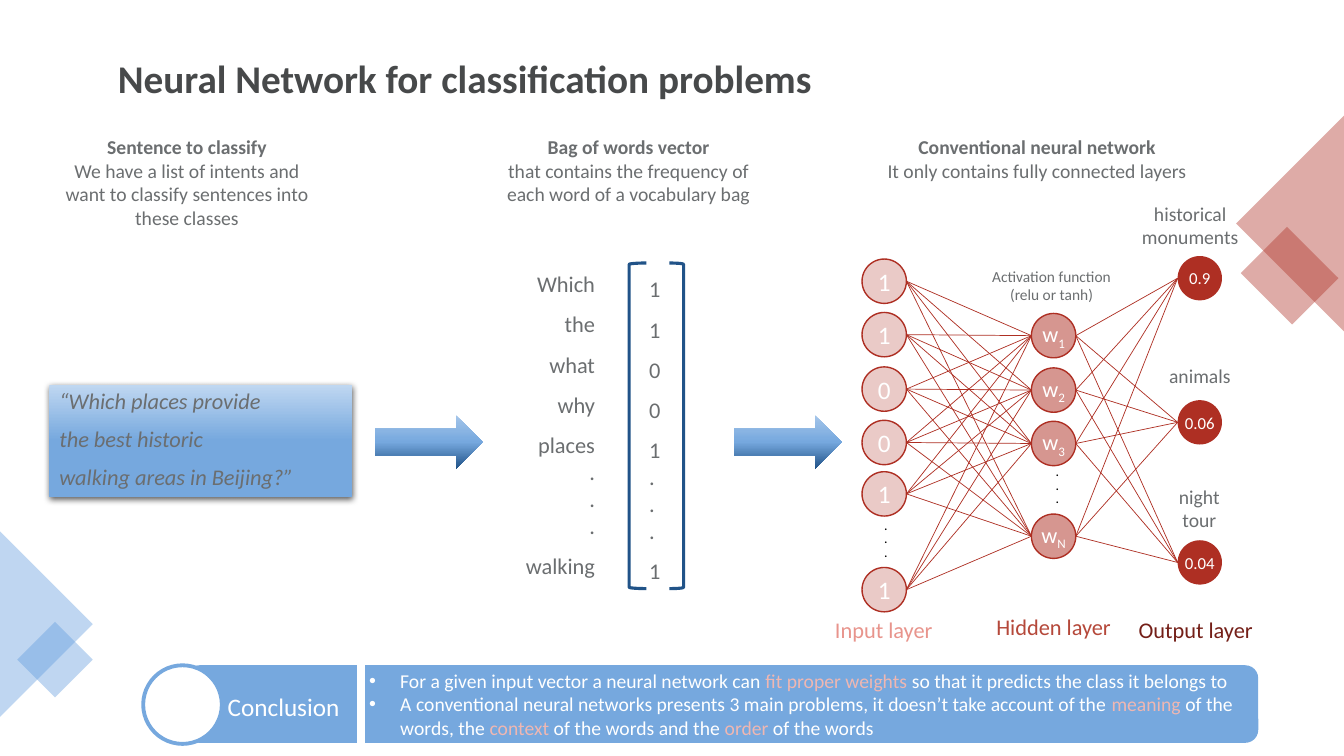
"""Builds a slide explaining how a neural network classifies sentences."""
from itertools import product

from lxml import etree
from pptx import Presentation
from pptx.dml.color import RGBColor
from pptx.enum.shapes import MSO_CONNECTOR, MSO_SHAPE
from pptx.enum.text import MSO_ANCHOR, MSO_AUTO_SIZE, PP_ALIGN
from pptx.oxml.ns import qn
from pptx.util import Inches, Pt

LEFT, CENTER, RIGHT = PP_ALIGN.LEFT, PP_ALIGN.CENTER, PP_ALIGN.RIGHT
TOP, MIDDLE = MSO_ANCHOR.TOP, MSO_ANCHOR.MIDDLE
NO_FIT = MSO_AUTO_SIZE.NONE
STRAIGHT = MSO_CONNECTOR.STRAIGHT
RECT, ROUND_RECT, OVAL = MSO_SHAPE.RECTANGLE, MSO_SHAPE.ROUNDED_RECTANGLE, MSO_SHAPE.OVAL
ARROW, NODE = MSO_SHAPE.RIGHT_ARROW, MSO_SHAPE.FLOWCHART_CONNECTOR
BRACKETS = MSO_SHAPE.LEFT_BRACKET, MSO_SHAPE.RIGHT_BRACKET

GRAY, DARK, WHITE, BLACK = "6B6E70", "47494A", "FFFFFF", "000000"
BLUE, NAVY, PALE_BLUE, RED, PINK = "76A8DE", "215388", "5F9ADD", "AE2F23", "EFB7B2"


def rgb(value):
    return RGBColor.from_string(value)


class SlideBuilder:
    """Holds the slide and its text style, with a method per kind of element."""
    font_name = "Calibri"

    def __init__(self, slide):
        self.slide = slide

    def fill_text(self, frame, lines, size, color, align=LEFT, anchor=TOP,
                  spacing=1, before=0, bold=False, italic=False, bullet=False):
        frame.vertical_anchor = anchor
        frame.auto_size = NO_FIT
        for index, line in enumerate(lines):
            paragraph = frame.paragraphs[0] if index == 0 else frame.add_paragraph()
            paragraph.alignment = align
            paragraph.line_spacing = spacing
            paragraph.space_before = Pt(before if index else 0)
            if bullet:
                properties = paragraph._p.get_or_add_pPr()
                properties.set("marL", str(Inches(0.31)))
                properties.set("indent", str(-Inches(0.31)))
                etree.SubElement(properties, qn("a:buFont"), typeface="Arial")
                etree.SubElement(properties, qn("a:buChar"), char="•")
            font = paragraph.font
            font.name, font.size = self.font_name, Pt(size)
            font.bold, font.italic = bold, italic
            font.color.rgb = rgb(color)
            runs = [(line, None, None)] if isinstance(line, str) else line
            for text, run_color, baseline in runs:
                run = paragraph.add_run()
                run.text = text
                if run_color:
                    run.font.color.rgb = rgb(run_color)
                if baseline:
                    run._r.get_or_add_rPr().set("baseline", str(baseline * 1000))
        return frame

    def placeholder(self, index, box, lines, size, color, **style):
        holder = self.slide.placeholders[index]
        holder.left, holder.top, holder.width, holder.height = map(Inches, box)
        self.fill_text(holder.text_frame, lines, size, color, **style)
        holder.element.getparent().append(holder.element)

    def text(self, box, lines, size, color=GRAY, wrap=True, **style):
        frame = self.slide.shapes.add_textbox(*map(Inches, box)).text_frame
        frame.word_wrap = wrap
        return self.fill_text(frame, lines, size, color, **style)

    def shape(self, kind, box, fill=None, alpha=100, line=None, width=1, rotation=0):
        shape = self.slide.shapes.add_shape(kind, *map(Inches, box))
        shape.shadow.inherit = False
        shape.rotation = rotation
        if fill:
            shape.fill.solid()
            shape.fill.fore_color.rgb = rgb(fill)
            if alpha < 100:
                tint = shape.element.spPr.find(".//" + qn("a:srgbClr"))
                etree.SubElement(tint, qn("a:alpha"), val=str(alpha * 1000))
        else:
            shape.fill.background()
        if line:
            shape.line.color.rgb = rgb(line)
            shape.line.width = Pt(width)
        else:
            shape.line.fill.background()
        return shape

    def gradient(self, kind, box, colors):
        shape = self.shape(kind, box)
        shape.fill.gradient()
        shape.fill.gradient_angle = 270
        stops = shape.element.spPr.find(".//" + qn("a:gsLst"))
        stops[:] = []
        for position, color in zip((0, 50000, 100000), colors):
            stop = etree.SubElement(stops, qn("a:gs"), pos=str(position))
            etree.SubElement(stop, qn("a:srgbClr"), val=color)
        return shape

    def drop_shadow(self, shape):
        effects = shape.element.spPr.find(qn("a:effectLst"))
        shadow = etree.SubElement(effects, qn("a:outerShdw"), blurRad=str(Pt(4.5)),
                                  dist=str(Pt(1.5)), dir="5400000", rotWithShape="0")
        tint = etree.SubElement(shadow, qn("a:srgbClr"), val=BLACK)
        etree.SubElement(tint, qn("a:alpha"), val="63000")

    def node(self, left, top, label, size, alpha=100, line=None):
        circle = self.shape(NODE, (left, top, NODE_SIZE, NODE_SIZE), RED, alpha, line)
        frame = circle.text_frame
        frame.margin_left = frame.margin_right = frame.margin_top = frame.margin_bottom = 0
        frame.word_wrap = False
        self.fill_text(frame, [label], size, WHITE, align=CENTER, anchor=MIDDLE)

    def line(self, start, end, color, width):
        connector = self.slide.shapes.add_connector(STRAIGHT, *map(Inches, start + end))
        connector.line.color.rgb = rgb(color)
        connector.line.width = Pt(width)
        etree.SubElement(connector.element.spPr, qn("a:effectLst"))


NODE_SIZE = 0.44
INPUT_X, HIDDEN_X, OUTPUT_X = 8.55, 10.23, 11.68
INPUTS = [(2.57, "1"), (3.1, "1"), (3.64, "0"), (4.17, "0"), (4.68, "1"), (5.63, "1")]
HIDDEN = [(3.11, "1"), (3.65, "2"), (4.18, "3"), (5.1, "N")]
OUTPUTS = [(2.54, "0.9"), (3.97, "0.06"), (5.36, "0.04")]
DOTS = [".", ".", "."]


def draw_bag_of_words(builder):
    words = ["Which", "the", "what", "why", "places", *DOTS, "walking"]
    counts = ["1", "1", "0", "0", "1", *DOTS, "1"]
    for box, column, align in (((4.89, 2.5, 1.11, 3.6), words, RIGHT),
                               ((6.34, 2.55, 0.37, 3.29), counts, LEFT)):
        frame = builder.text(box, column, 16, align=align, spacing=1.5)
        for paragraph in frame.paragraphs:
            if paragraph.text == ".":
                paragraph.line_spacing = 1
    for bracket, left, width in zip(BRACKETS, (6.24, 6.64), (0.17, 0.14)):
        builder.shape(bracket, (left, 2.61, width, 3.23), line=NAVY, width=2.25)


def draw_network(builder):
    for left_x, left_layer, right_x, right_layer in (
            (INPUT_X, INPUTS, HIDDEN_X, HIDDEN), (HIDDEN_X, HIDDEN, OUTPUT_X, OUTPUTS)):
        for (start_top, _), (end_top, _) in product(left_layer, right_layer):
            builder.line((left_x + NODE_SIZE, start_top + NODE_SIZE / 2),
                         (right_x, end_top + NODE_SIZE / 2), RED, 0.5)
    for top, value in INPUTS:
        builder.node(INPUT_X, top, value, 18, 25, RED)
    for top, subscript in HIDDEN:
        builder.node(HIDDEN_X, top, [("w", None, None), (subscript, None, -25)], 16, 50, RED)
    for top, score in OUTPUTS:
        builder.node(OUTPUT_X, top, score, 12)
    for box in ((8.53, 5.1, 0.37, 0.87), (9.49, 4.57, 1.11, 0.87)):
        builder.text(box, DOTS, 8, BLACK, align=RIGHT, bold=True)
    for box, layer, color in (((8.09, 6.06, 1.35, 0.37), "Input layer", "E8948C"),
                              ((9.71, 6.03, 1.48, 0.37), "Hidden layer", "B5483A"),
                              ((11.08, 6.06, 1.56, 0.37), "Output layer", "741F18")):
        builder.text(box, [layer], 16, color, align=CENTER)
    for box, intent in (((11.22, 1.95, 1.17, 0.57), ["historical", "monuments"]),
                        ((11.49, 3.56, 0.82, 0.34), ["animals"]),
                        ((11.59, 4.76, 0.61, 0.57), ["night", "tour"])):
        builder.text(box, intent, 14, wrap=False, align=CENTER)
    builder.text((9.74, 2.6, 1.38, 0.47), ["Activation function", "(relu or tanh)"], 11,
                 align=CENTER)


def draw_conclusion(builder):
    builder.shape(ROUND_RECT, (1.85, 6.6, 10.63, 0.77), BLUE)
    builder.shape(OVAL, (1.42, 6.6, 0.78, 0.78), WHITE, line=BLUE, width=2.75)
    builder.line((3.58, 6.59), (3.58, 7.44), WHITE, 6)
    builder.text((2.16, 6.81, 1.32, 0.4), ["Conclusion"], 18, WHITE, wrap=False, anchor=MIDDLE)
    findings = [
        [("For a given input vector a neural network can ", None, None),
         ("fit proper weights ", PINK, None),
         ("so that it predicts the class it belongs to", None, None)],
        [("A conventional neural networks presents 3 main problems, "
          "it doesn’t take account of the ", None, None),
         ("meaning", PINK, None), (" of the words, the ", None, None),
         ("context", PINK, None), (" of the words and the ", None, None),
         ("order", PINK, None), (" of the words", None, None)]]
    builder.placeholder(1, (3.56, 6.6, 8.92, 0.77), findings, 14, WHITE,
                        anchor=MIDDLE, bullet=True)


def main():
    deck = Presentation()
    deck.slide_width, deck.slide_height = Inches(13.33), Inches(7.5)
    builder = SlideBuilder(deck.slides.add_slide(deck.slide_layouts[1]))

    for box, color in (((-1.33, 5.26, 1.87, 1.85), PALE_BLUE), ((0.28, 6.28, 0.53, 0.53), PALE_BLUE),
                       ((12.64, 1.3, 1.87, 1.85), RED), ((12.43, 2.41, 0.72, 0.65), RED)):
        builder.shape(RECT, box, color, 40, rotation=45)
    builder.placeholder(0, (1.07, 0.08, 10.7, 1.45), ["Neural Network for classification problems"],
                        28, DARK, anchor=MIDDLE, spacing=0.9, bold=True)

    for box, heading, detail in (
            ((0.44, 1.29, 2.83, 1.04), "Sentence to classify",
             "We have a list of intents and want to classify sentences into these classes"),
            ((4.82, 1.29, 2.83, 0.81), "Bag of words vector",
             "that contains the frequency of each word of a vocabulary bag"),
            ((8.49, 1.29, 3.59, 0.57), "Conventional neural network",
             "It only contains fully connected layers")):
        frame = builder.text(box, [heading, detail], 14, align=CENTER)
        frame.paragraphs[0].font.bold = True

    quote = builder.gradient(RECT, (0.49, 3.82, 3, 1.11), ("BFD7F1", BLUE, BLUE))
    builder.drop_shadow(quote)
    builder.fill_text(quote.text_frame,
                      ["“Which places provide", "the best historic", "walking areas in Beijing?”"],
                      16, GRAY, spacing=0.9, before=10, italic=True)
    for left in (3.72, 7.28):
        builder.gradient(ARROW, (left, 4.12, 1.07, 0.53), ("A4C5E9", BLUE, NAVY))

    draw_bag_of_words(builder)
    draw_network(builder)
    draw_conclusion(builder)
    deck.save("out.pptx")


if __name__ == "__main__":
    main()
